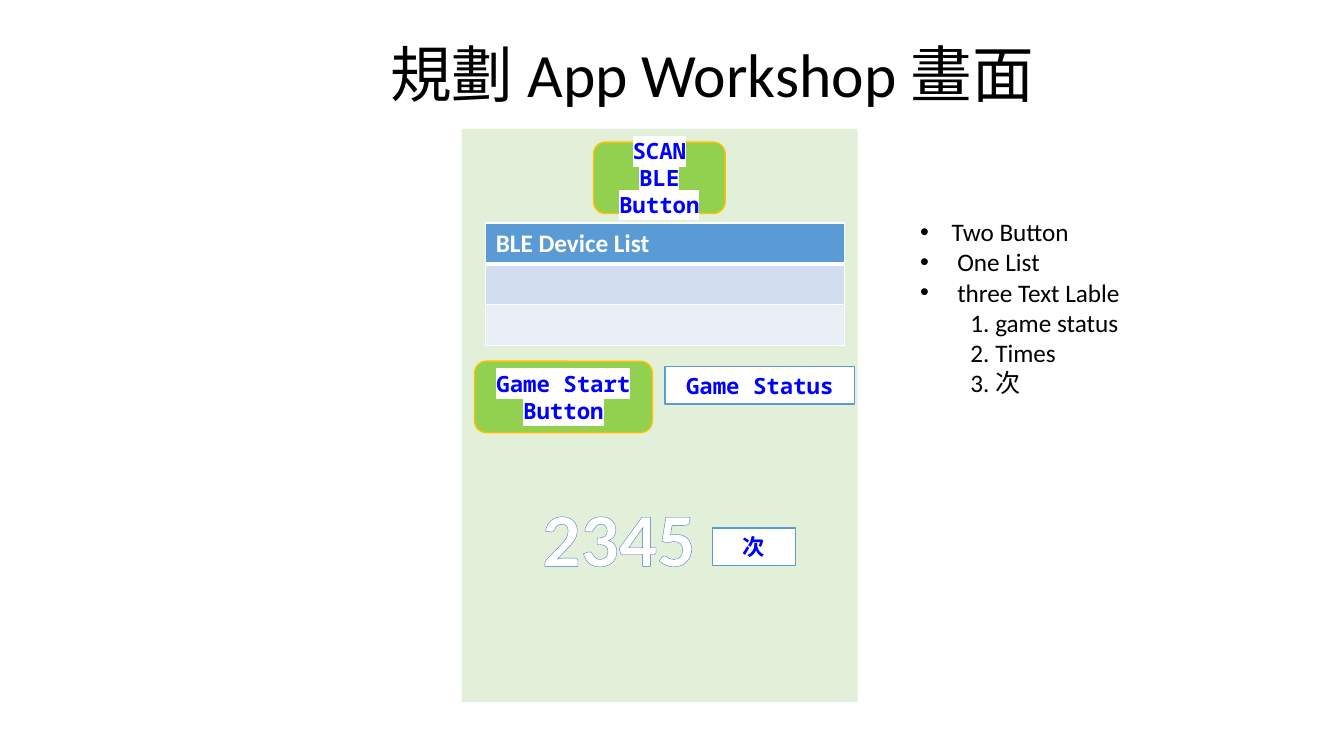
"""Build the slide that plans the screen of a BLE game app."""
import pptx
import pptx.dml.color
import pptx.enum.shapes
import pptx.enum.text
import pptx.oxml
import pptx.oxml.ns
import pptx.util

Pt = pptx.util.Pt
RGBColor = pptx.dml.color.RGBColor
Shapes = pptx.enum.shapes.MSO_SHAPE
Align = pptx.enum.text.PP_ALIGN
Anchor = pptx.enum.text.MSO_ANCHOR
AutoSize = pptx.enum.text.MSO_AUTO_SIZE

BLACK = RGBColor(0x00, 0x00, 0x00)
WHITE = RGBColor(0xFF, 0xFF, 0xFF)
SCREEN_GREEN = RGBColor(0xE2, 0xF0, 0xD9)
BUTTON_GREEN = RGBColor(0x92, 0xD0, 0x50)
BUTTON_EDGE = RGBColor(0xFF, 0xC0, 0x00)
LABEL_TEXT = RGBColor(0x00, 0x00, 0xFF)
LABEL_EDGE = RGBColor(0x5B, 0x9B, 0xD5)
COUNTER_EDGE = RGBColor(0x44, 0x72, 0xC4)
ROW_FILLS = [LABEL_EDGE, RGBColor(0xD2, 0xDE, 0xEF), RGBColor(0xEA, 0xEF, 0xF7)]

TEXT_FONT = "Calibri"
LABEL_FONT = "Noto Sans Mono"

BUTTONS = [
    ("SCAN BLE Button", (424, 101.5, 94, 51)),
    ("Game Start Button", (339, 258, 127, 51)),
]
LABELS = [
    ("Game Status", (475, 262, 135.5, 26.6)),
    ("次", (509, 377.3, 59.4, 26.6)),
]
NOTES = [
    ("Two Button", 0),
    (" One List", 0),
    (" three Text Lable", 0),
    ("1. game status", 1),
    ("2. Times", 1),
    ("3. 次", 1),
]


def place(shape, box):
    """Move and size a shape to a box given in points."""
    shape.left, shape.top, shape.width, shape.height = map(Pt, box)


def make_element(tag, **attributes):
    """Return a new drawing element with the given attributes."""
    element = pptx.oxml.parse_xml(f"<a:{tag} {pptx.oxml.ns.nsdecls('a')}/>")
    for name, value in attributes.items():
        element.set(name, str(value))
    return element


def add_color(element, color):
    """Put an RGB colour inside an element."""
    element.append(make_element("srgbClr", val=color))
    return element


def make_line(tag, width, color):
    """Return a solid line element of a width in points."""
    line = make_element(tag, w=Pt(width))
    line.append(add_color(make_element("solidFill"), color))
    return line


def format_runs(paragraph, size, color, font=TEXT_FONT, bold=False):
    """Format every run of a paragraph."""
    for run in paragraph.runs:
        run.font.size = Pt(size)
        run.font.name = font
        run.font.bold = bold
        run.font.color.rgb = color


def add_title(slide, text, box):
    """Fill the title placeholder."""
    title = slide.shapes.title
    place(title, box)
    title.text_frame.text = text
    title.text_frame.vertical_anchor = Anchor.MIDDLE
    paragraph = title.text_frame.paragraphs[0]
    paragraph.alignment = Align.CENTER
    paragraph.line_spacing = 0.9
    format_runs(paragraph, 44, BLACK)


def add_panel(slide, kind, box, fill, edge=None):
    """Add a flat shape with an optional outline."""
    shape = slide.shapes.add_shape(kind, *map(Pt, box))
    shape.shadow.inherit = False
    shape.fill.solid()
    shape.fill.fore_color.rgb = fill
    if edge is None:
        shape.line.fill.background()
    else:
        shape.line.color.rgb = edge
        shape.line.width = Pt(1)
    return shape


def add_caption(shape, text):
    """Write highlighted bold text in the middle of a shape."""
    frame = shape.text_frame
    frame.word_wrap = True
    frame.vertical_anchor = Anchor.MIDDLE
    frame.text = text
    paragraph = frame.paragraphs[0]
    paragraph.alignment = Align.CENTER
    format_runs(paragraph, 16, LABEL_TEXT, LABEL_FONT, True)
    fill = paragraph.runs[0].font._element.find(pptx.oxml.ns.qn("a:solidFill"))
    fill.addnext(add_color(make_element("highlight"), WHITE))


def add_device_list(slide, box):
    """Add the one-column table of devices."""
    table = slide.shapes.add_table(len(ROW_FILLS), 1, *map(Pt, box)).table
    for row, fill in enumerate(ROW_FILLS):
        cell = table.cell(row, 0)
        properties = cell._tc.get_or_add_tcPr()
        for tag in ("lnL", "lnR", "lnT", "lnB"):
            below_header = (row, tag) in ((0, "lnB"), (1, "lnT"))
            properties.append(make_line(tag, 3 if below_header else 1, WHITE))
        cell.fill.solid()
        cell.fill.fore_color.rgb = fill
    header = table.cell(0, 0).text_frame
    header.text = "BLE Device List"
    format_runs(header.paragraphs[0], 18, WHITE, bold=True)


def add_counter(slide, text, box):
    """Add the large outlined number."""
    frame = slide.shapes.add_textbox(*map(Pt, box)).text_frame
    frame.word_wrap = False
    frame.text = text
    paragraph = frame.paragraphs[0]
    paragraph.alignment = Align.CENTER
    format_runs(paragraph, 54, WHITE, bold=True)
    paragraph.runs[0].font._element.insert(0, make_line("ln", 0.8, COUNTER_EDGE))


def add_notes_list(slide, box):
    """Fill the body placeholder with the parts of the screen."""
    body = slide.placeholders[1]
    place(body, box)
    frame = body.text_frame
    frame.auto_size = AutoSize.NONE
    frame.vertical_anchor = Anchor.TOP
    frame.text = "\n".join(text for text, level in NOTES)
    for paragraph, (text, level) in zip(frame.paragraphs, NOTES):
        paragraph.level = level
        paragraph.alignment = Align.LEFT
        paragraph.line_spacing = 1.0
        paragraph.space_before = Pt(0)
        format_runs(paragraph, 18, BLACK)
        margin, indent = (36, 0) if level else (22.5, -22.5)
        properties = paragraph._p.get_or_add_pPr()
        properties.set("marL", str(Pt(margin)))
        properties.set("indent", str(Pt(indent)))
        if level:
            properties.append(make_element("buNone"))
        else:
            properties.append(make_element("buFont", typeface="Arial"))
            properties.append(make_element("buChar", char="•"))


def main():
    """Build and save the presentation."""
    presentation = pptx.Presentation()
    presentation.slide_width, presentation.slide_height = Pt(960), Pt(540)
    slide = presentation.slides.add_slide(presentation.slide_layouts[1])
    add_title(slide, "規劃 App Workshop 畫面", (139, 16, 739.5, 79))
    add_panel(slide, Shapes.RECTANGLE, (329.7, 92, 283, 409.5), SCREEN_GREEN)
    add_device_list(slide, (347, 159.3, 256.5, 87.6))
    for text, box in BUTTONS:
        button = add_panel(slide, Shapes.ROUNDED_RECTANGLE, box, BUTTON_GREEN, BUTTON_EDGE)
        add_caption(button, text)
    for text, box in LABELS:
        label = add_panel(slide, Shapes.RECTANGLE, box, WHITE, LABEL_EDGE)
        add_caption(label, text)
    add_counter(slide, "2345", (379.5, 347, 125.3, 72.7))
    add_notes_list(slide, (650, 151, 248.5, 160))
    presentation.save("out.pptx")


if __name__ == "__main__":
    main()
